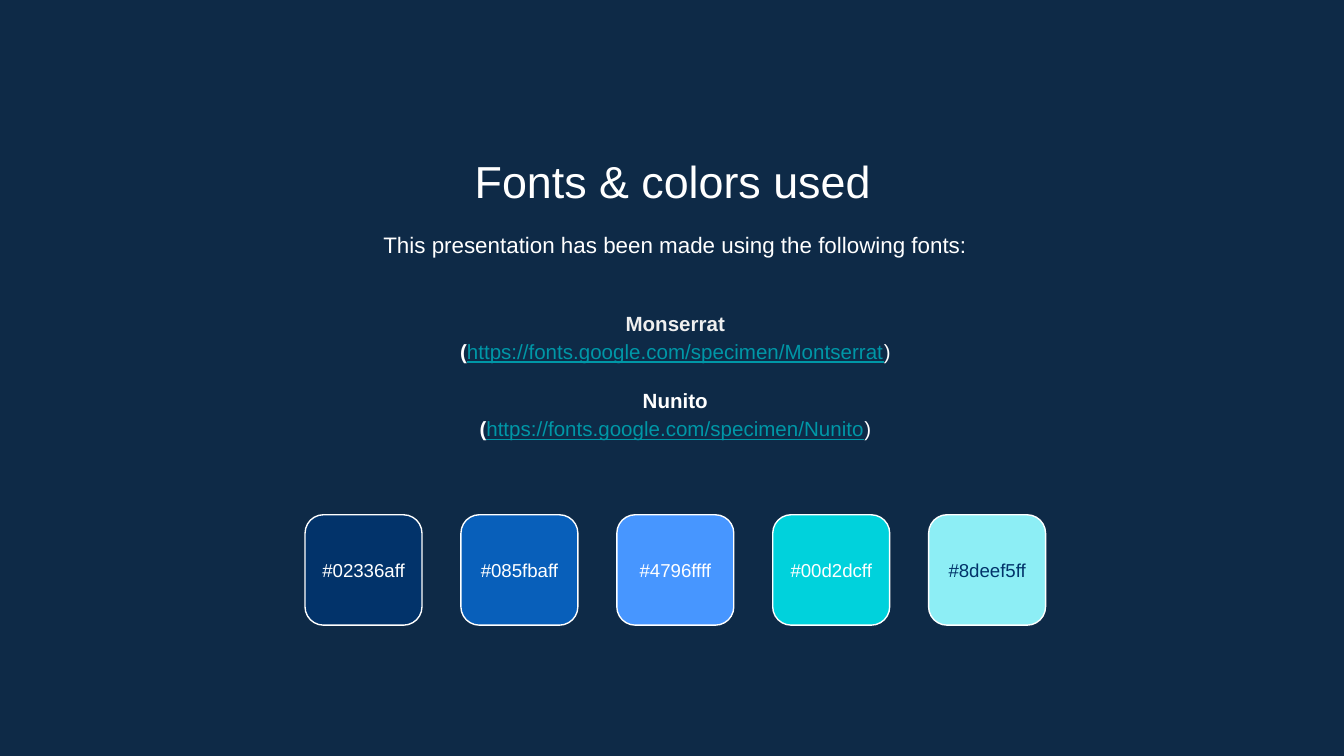
from pptx import Presentation
from pptx.dml.color import RGBColor
from pptx.enum.shapes import MSO_SHAPE
from pptx.enum.text import MSO_ANCHOR, PP_ALIGN
from pptx.util import Inches, Pt

ROUNDED = MSO_SHAPE.ROUNDED_RECTANGLE
TOP, MIDDLE = MSO_ANCHOR.TOP, MSO_ANCHOR.MIDDLE
CENTER = PP_ALIGN.CENTER

NAVY = RGBColor(0x0E, 0x2A, 0x47)
WHITE = RGBColor(0xFF, 0xFF, 0xFF)
PALE_GREY = RGBColor(0xEF, 0xEF, 0xEF)
LINK_TEAL = RGBColor(0x00, 0x97, 0xA7)
DEEP_BLUE = RGBColor(0x02, 0x33, 0x6A)
BLUE = RGBColor(0x08, 0x5F, 0xBA)
SKY = RGBColor(0x47, 0x96, 0xFF)
TURQUOISE = RGBColor(0x00, 0xD2, 0xDC)
ICE = RGBColor(0x8D, 0xEE, 0xF5)

FONT = "Arial"
SLIDE_W = Inches(10)
SLIDE_H = SLIDE_W * 9 // 16
INSET = Inches(0.1)
LINE_SPACING = 1.15
SWATCH_GAP = 1 / 3  # share of a swatch's width
LABEL_TOP, LABEL_HEIGHT = 0.21, 0.58  # shares of a swatch's height

FONTS_USED = [
    ("Monserrat", "https://fonts.google.com/specimen/Montserrat", PALE_GREY),
    ("Nunito", "https://fonts.google.com/specimen/Nunito", WHITE),
]
SWATCHES = [
    ("#02336aff", DEEP_BLUE, WHITE),
    ("#085fbaff", BLUE, WHITE),
    ("#4796ffff", SKY, WHITE),
    ("#00d2dcff", TURQUOISE, WHITE),
    ("#8deef5ff", ICE, DEEP_BLUE),
]


def box_at(left, top, width, height):
    """Turn percentages of the slide into lengths."""
    return (int(SLIDE_W * left / 100), int(SLIDE_H * top / 100),
            int(SLIDE_W * width / 100), int(SLIDE_H * height / 100))


def write(paragraph, text, size, color=WHITE, bold=False, underline=False,
          spacing=None):
    """Add one formatted run to a centred paragraph."""
    paragraph.alignment = CENTER
    if spacing:
        paragraph.line_spacing = spacing
    run = paragraph.add_run()
    run.text = text
    font = run.font
    font.name, font.size = FONT, Pt(size)
    font.bold, font.underline = bold, underline
    font.color.rgb = color


def add_text_frame(slide, box, anchor=TOP):
    frame = slide.shapes.add_textbox(*box).text_frame
    frame.word_wrap = True
    frame.vertical_anchor = anchor
    frame.margin_left = frame.margin_right = INSET
    frame.margin_top = frame.margin_bottom = INSET
    return frame


def add_heading(slide, box, text, size, spacing=None):
    frame = add_text_frame(slide, box)
    write(frame.paragraphs[0], text, size, spacing=spacing)


def add_font_list(slide, box):
    frame = add_text_frame(slide, box, MIDDLE)
    for index, (name, address, color) in enumerate(FONTS_USED):
        title = frame.add_paragraph() if index else frame.paragraphs[0]
        if index:
            title.space_before = Pt(11)
        write(title, name, 11, color, bold=True, spacing=LINE_SPACING)
        source = frame.add_paragraph()
        write(source, "(", 11, bold=True, spacing=LINE_SPACING)
        write(source, address, 11, LINK_TEAL, underline=True)
        write(source, ")", 11)


def add_swatch(slide, box, code, fill, text_color):
    left, top, width, height = box
    swatch = slide.shapes.add_shape(ROUNDED, *box)
    swatch.shadow.inherit = False
    swatch.fill.solid()
    swatch.fill.fore_color.rgb = fill
    swatch.line.color.rgb = WHITE
    swatch.line.width = Pt(0.75)
    label_box = (left, int(top + height * LABEL_TOP),
                 width, int(height * LABEL_HEIGHT))
    label = add_text_frame(slide, label_box, MIDDLE)
    write(label.paragraphs[0], code, 10, text_color)


def add_palette(slide, box):
    """Spread the labelled swatches evenly over the box."""
    left, top, width, height = box
    count = len(SWATCHES)
    swatch_w = width / (count + (count - 1) * SWATCH_GAP)
    pitch = swatch_w * (1 + SWATCH_GAP)
    for index, (code, fill, text_color) in enumerate(SWATCHES):
        swatch_box = (int(left + index * pitch), top, int(swatch_w), height)
        add_swatch(slide, swatch_box, code, fill, text_color)


def main():
    deck = Presentation()
    deck.slide_width, deck.slide_height = SLIDE_W, SLIDE_H
    slide = deck.slides.add_slide(deck.slide_layouts[6])
    slide.background.fill.solid()
    slide.background.fill.fore_color.rgb = NAVY

    add_heading(slide, box_at(11.5, 18.5, 77.1, 9.4), "Fonts & colors used", 24)
    add_heading(slide, box_at(11.7, 28.3, 77.1, 8.5),
                "This presentation has been made using the following fonts:",
                12, spacing=LINE_SPACING)
    add_font_list(slide, box_at(11.7, 37.3, 77.1, 24.4))
    add_palette(slide, box_at(22.7, 68.1, 55.1, 14.6))
    deck.save("out.pptx")


if __name__ == "__main__":
    main()
